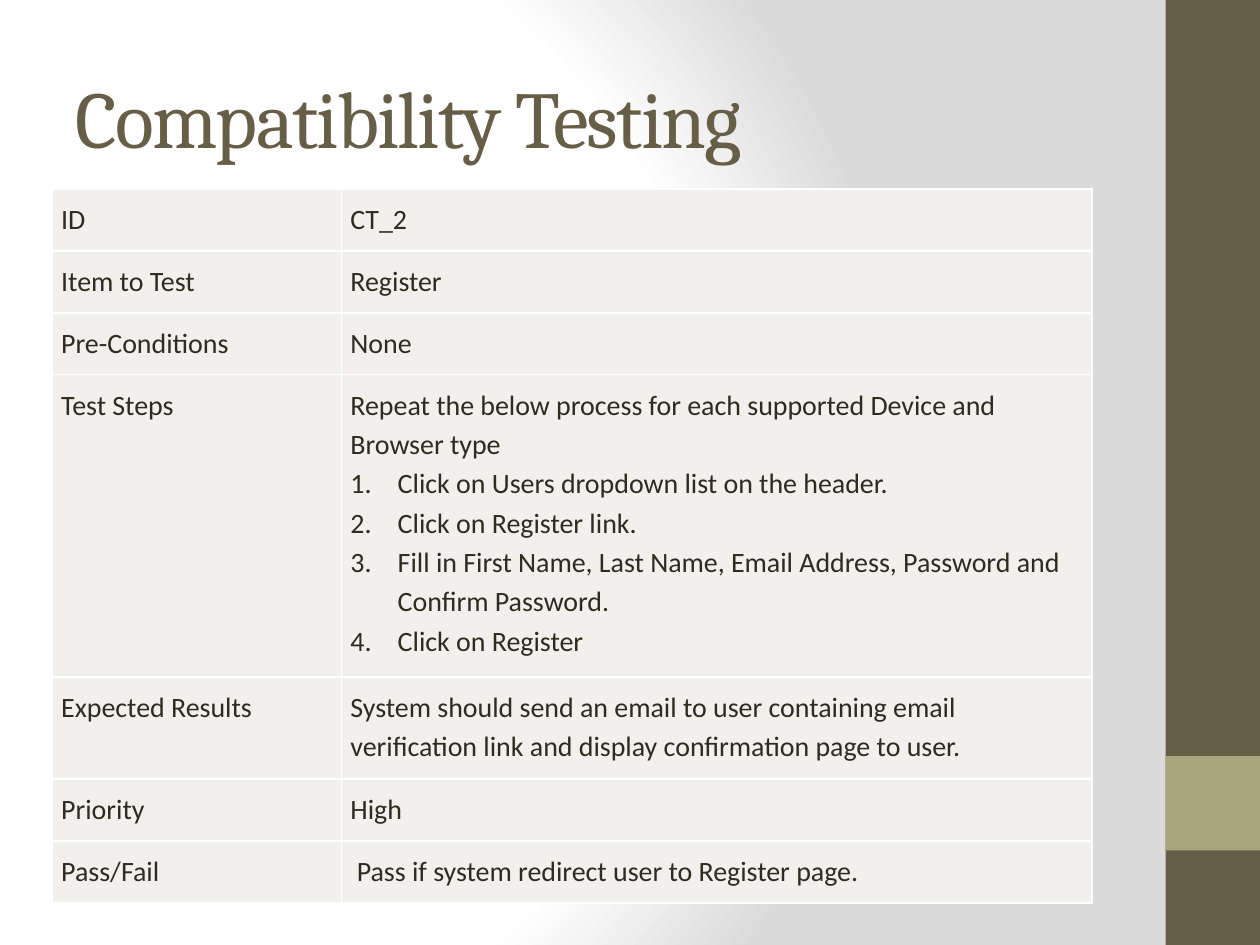
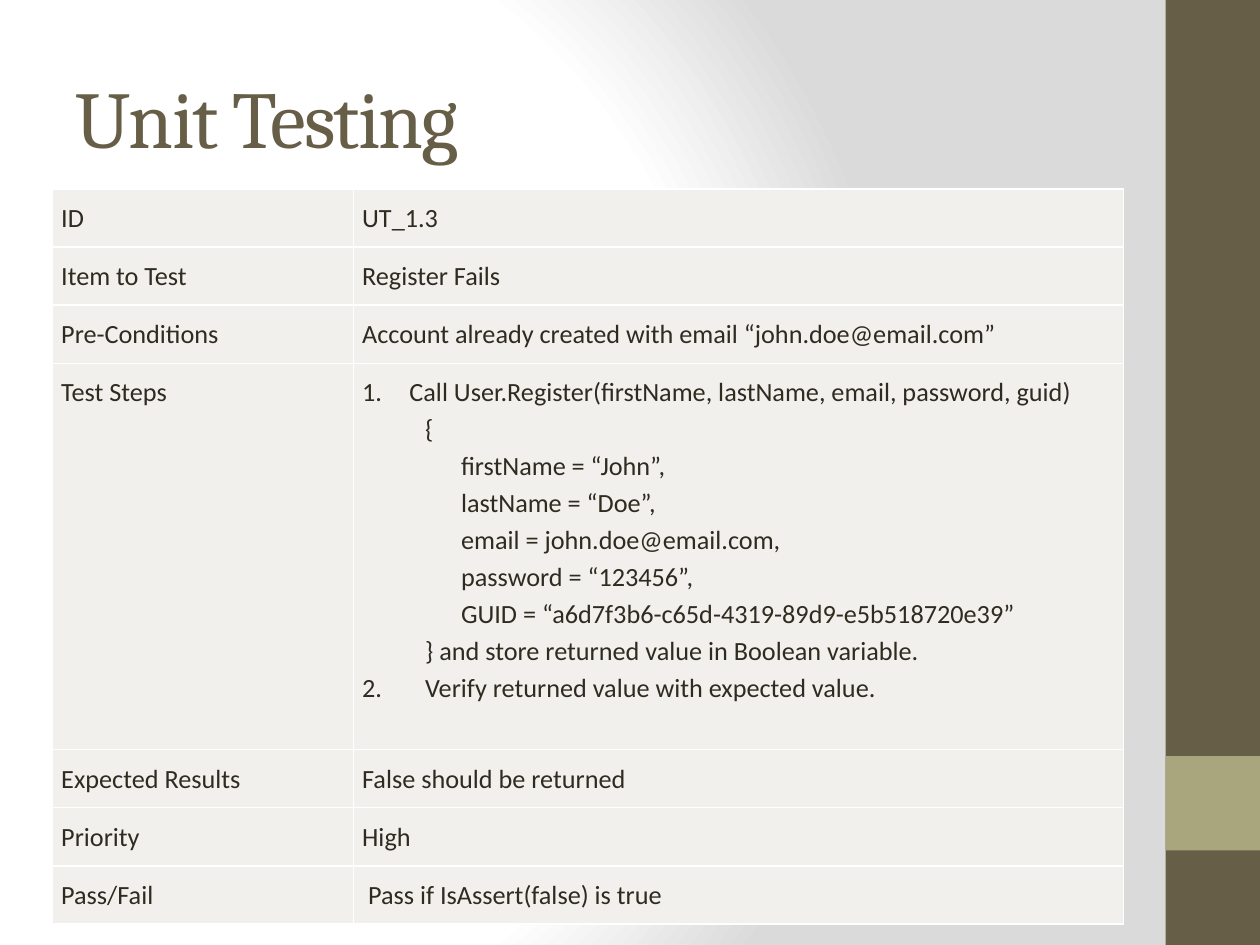
"""Build two test-case slides: a title, a two-column table and side bands."""
from dataclasses import dataclass

from pptx import Presentation
from pptx.dml.color import RGBColor as RGB
from pptx.enum.shapes import MSO_SHAPE as SHAPE
from pptx.enum.text import MSO_ANCHOR as ANCHOR
from pptx.oxml import parse_xml
from pptx.oxml.ns import nsdecls, qn
from pptx.util import Pt


@dataclass(frozen=True)
class Theme:
    dark: str = "675E47"
    accent: str = "A9A57C"
    ink: str = "2F2B20"
    cell: str = "F1F0EC"
    white: str = "FFFFFF"
    grey: str = "DADADA"
    title_font: str = "Cambria"
    body_font: str = "Calibri"
    title_size: int = 46
    line_spacing: float = 1.15
    inset: int = 5


T = Theme()
LABELS = ["ID", "Item to Test", "Pre-Conditions", "Test Steps",
          "Expected Results", "Priority", "Pass/Fail"]
INDENTS = {"plain": (0, 0), "step": (27, -27), "wide step": (36, -36),
           "brace": (36, 0), "code": (56.5, 0)}

COMPATIBILITY = [
    "CT_2",
    "Register",
    "None",
    [("plain", "Repeat the below process for each supported Device and Browser type"),
     ("step", "Click on Users dropdown list on the header."),
     ("step", "Click on Register link."),
     ("step", "Fill in First Name, Last Name, Email Address, Password and "
              "Confirm Password."),
     ("step", "Click on Register")],
    "System should send an email to user containing email verification link "
    "and display confirmation page to user.",
    "High",
    " Pass if system redirect user to Register page.",
]
UNIT = [
    "UT_1.3",
    "Register Fails",
    "Account already created with email “john.doe@email.com”",
    [("step", "Call User.Register(firstName, lastName, email, password, guid)"),
     ("brace", "{"),
     ("code", "firstName = “John”,"),
     ("code", "lastName = “Doe”,"),
     ("code", "email = john.doe@email.com,"),
     ("code", "password = “123456”,"),
     ("code", "GUID = “a6d7f3b6-c65d-4319-89d9-e5b518720e39”"),
     ("brace", "} and store returned value in Boolean variable."),
     ("wide step", "Verify returned value with expected value.")],
    "False should be returned",
    "High",
    " Pass if IsAssert(false) is true",
]


def set_background(master):
    """Give the master a radial gradient from white to grey."""
    master.background.fill.gradient()
    grad = master.element.find(".//" + qn("a:gradFill"))
    stops = "".join(f'<a:gs pos="{pos}000"><a:srgbClr val="{color}"/></a:gs>'
                    for pos, color in ((0, T.white), (75, T.white), (100, T.grey)))
    grad.getparent().replace(grad, parse_xml(
        f'<a:gradFill {nsdecls("a")} rotWithShape="1"><a:gsLst>{stops}</a:gsLst>'
        '<a:path path="circle"><a:fillToRect l="20000" t="50000" r="100000" '
        'b="50000"/></a:path></a:gradFill>'))


def add_band(s, top, height, color):
    """Add a plain rectangle at the right edge."""
    sp = s.shapes.add_shape(SHAPE.RECTANGLE, Pt(666), Pt(top), Pt(54), Pt(height))
    sp.shadow.inherit = False
    sp.fill.solid()
    sp.fill.fore_color.rgb = RGB.from_string(color)
    sp.line.fill.background()


def style_run(r, font, size, color):
    """Set the font, size and colour of a run."""
    r.font.name = font
    r.font.size = Pt(size)
    r.font.color.rgb = RGB.from_string(color)


def add_title(s, text):
    """Add the slide title."""
    tf = s.shapes.add_textbox(Pt(36), Pt(21.6), Pt(600), Pt(90)).text_frame
    tf.word_wrap = True
    tf.vertical_anchor = ANCHOR.MIDDLE
    tf.text = text
    r = tf.paragraphs[0].runs[0]
    style_run(r, T.title_font, T.title_size, T.dark)
    r.font._element.set("spc", "-100")


def style_cell(cell):
    """Set the fill, insets and white borders of a cell."""
    cell.fill.solid()
    cell.fill.fore_color.rgb = RGB.from_string(T.cell)
    cell.margin_left = cell.margin_right = Pt(T.inset)
    cell.margin_top = cell.margin_bottom = Pt(T.inset)
    tc_pr = cell._tc.get_or_add_tcPr()
    for i, side in enumerate("LRTB"):
        tc_pr.insert(i, parse_xml(
            f'<a:ln{side} {nsdecls("a")} w="{Pt(1)}"><a:solidFill>'
            f'<a:srgbClr val="{T.white}"/></a:solidFill></a:ln{side}>'))


def fill_cell(cell, content, size):
    """Write a string, or a list of (kind, text) lines, into a cell."""
    lines = [("plain", content)] if isinstance(content, str) else content
    tf = cell.text_frame
    tf.text = "\n".join(text for _, text in lines)
    number = 0
    for p, (kind, _) in zip(tf.paragraphs, lines):
        p.line_spacing = T.line_spacing
        left, first = INDENTS[kind]
        p_pr = p._p.get_or_add_pPr()
        p_pr.set("marL", str(Pt(left)))
        p_pr.set("indent", str(Pt(first)))
        if "step" in kind:
            number += 1
            p_pr.append(parse_xml(f'<a:buAutoNum {nsdecls("a")} '
                                  f'type="arabicPeriod" startAt="{number}"/>'
                                  if kind == "wide step" else
                                  f'<a:buAutoNum {nsdecls("a")} type="arabicPeriod"/>'))
        style_run(p.runs[0], T.body_font, size, T.ink)


def add_case_table(s, values, size, widths, heights):
    """Add the table of labels and values."""
    tbl = s.shapes.add_table(len(LABELS), 2, Pt(30), Pt(108),
                             Pt(sum(widths)), Pt(sum(heights))).table
    tbl.first_row = tbl.horz_banding = False
    for column, width in zip(tbl.columns, widths):
        column.width = Pt(width)
    for row, height, pair in zip(tbl.rows, heights, zip(LABELS, values)):
        row.height = Pt(height)
        for cell, content in zip(row.cells, pair):
            style_cell(cell)
            fill_cell(cell, content, size)


def add_case_slide(prs, title, values, size, widths, heights):
    """Add one slide with bands, title and table."""
    s = prs.slides.add_slide(prs.slide_layouts[6])
    add_band(s, 0, 540, T.dark)
    add_band(s, 432, 54, T.accent)
    add_title(s, title)
    add_case_table(s, values, size, widths, heights)


def main():
    """Build and save the presentation."""
    prs = Presentation()
    prs.slide_width, prs.slide_height = Pt(720), Pt(540)
    set_background(prs.slide_master)
    add_case_slide(prs, "Compatibility Testing", COMPATIBILITY, 16, (165.3, 428.7),
                   [35.4] * 3 + [172.8, 58.3] + [35.4] * 2)
    add_case_slide(prs, "Unit Testing", UNIT, 15, (172, 440),
                   [33.2] * 3 + [220.8] + [33.2] * 3)
    prs.save("out.pptx")


main()
